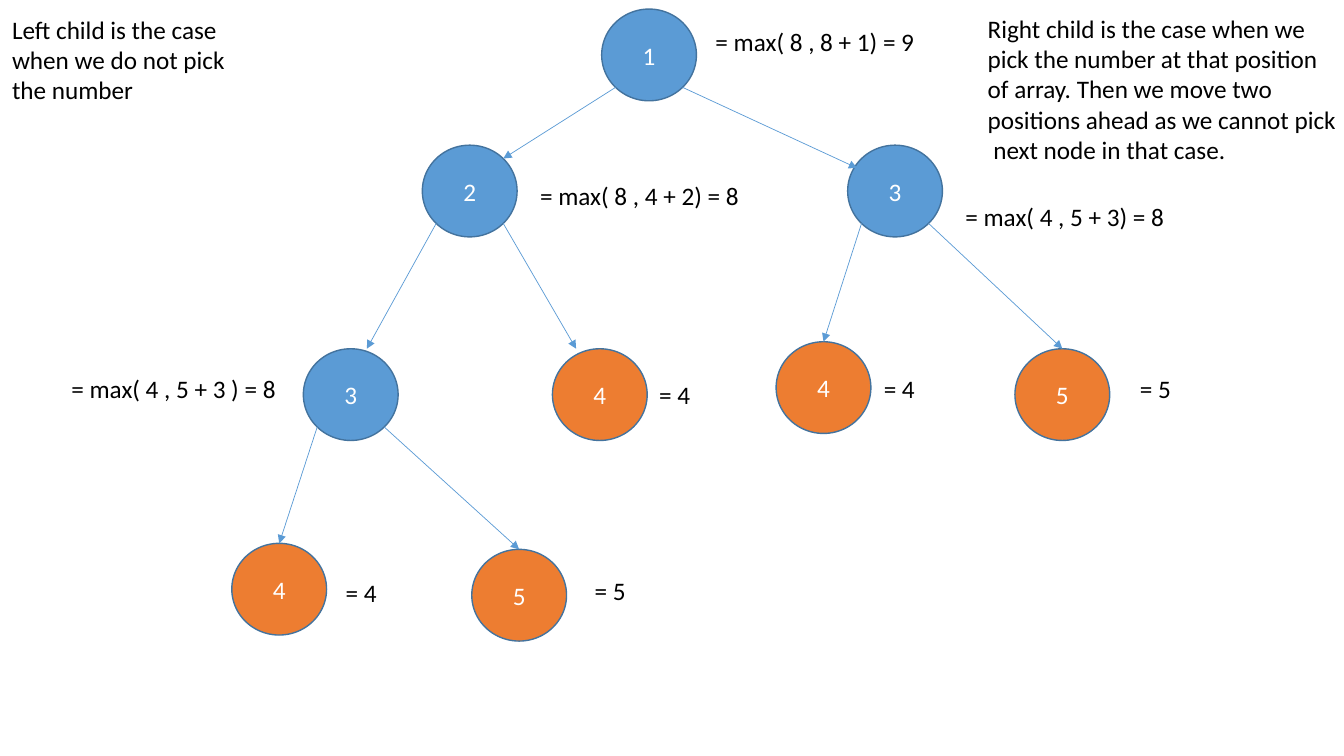
from collections import namedtuple

from lxml import etree
from pptx import Presentation
from pptx.dml.color import RGBColor
from pptx.enum import shapes, text
from pptx.oxml import ns
from pptx.util import Pt

COLORS = {"branch": "5B9BD5", "leaf": "ED7D31", "outline": "43739E",
          "on_node": "FFFFFF", "note": "000000"}
Box = namedtuple("Box", "left top width height")
Node = namedtuple("Node", "value kind left top label label_left label_top label_width")

NODE_WIDTH, NODE_HEIGHT = 67.7, 65.5
LABEL_HEIGHT = 29
SUM_WIDTH, LEAF_WIDTH = 168.5, 49.7
DIAGONAL = 0.146  # where an ellipse's diagonal points lie, as a share of its size

# Node places are relative to the tree, label places to the node.
NODES = {
    "root": Node("1", "branch", 385.8, 0, "= max( 8 , 8 + 1) = 9", 74.2, 8.6, SUM_WIDTH),
    "skip": Node("2", "branch", 257.7, 97.2, "= max( 8 , 4 + 2) = 8", 77, 21.6, SUM_WIDTH),
    "pick": Node("3", "branch", 561.5, 97.2, "= max( 4 , 5 + 3) = 8", 77, 36.7, SUM_WIDTH),
    "skip_skip": Node("3", "branch", 172.7, 242.6, "= max( 4 , 5 + 3 ) = 8 ", -172.8, 13.7, 172.8),
    "skip_pick": Node("4", "leaf", 350.6, 242.6, "= 4", 69.1, 18, LEAF_WIDTH),
    "pick_skip": Node("4", "leaf", 510.4, 237.6, "= 4", 69.8, 18.7, LEAF_WIDTH),
    "pick_pick": Node("5", "leaf", 681, 242.6, "= 5", 82.1, 13.7, LEAF_WIDTH),
    "deep_skip": Node("4", "leaf", 121.6, 381.6, "= 4", 74.2, 20.9, LEAF_WIDTH),
    "deep_pick": Node("5", "leaf", 293, 385.9, "= 5", 80.6, 15.1, LEAF_WIDTH),
}
# Parent, left child, right child, and where each arrow ends as shares of the child.
BRANCHES = [
    ("root", ("skip", 1 - DIAGONAL, DIAGONAL), ("pick", 0.1, 0.25)),
    ("skip", ("skip_skip", 0.67, 0), ("skip_pick", 0.25, 0)),
    ("pick", ("pick_skip", 0.5, 0), ("pick_pick", 0.5, 0)),
    ("skip_skip", ("deep_skip", 0.5, 0), ("deep_pick", 0.5, 0)),
]


def rgb(name):
    """Return the named colour."""
    return RGBColor.from_string(COLORS[name])


def write(shape, words, color, frame_format, align):
    """Put one formatted paragraph into a shape."""
    frame = shape.text_frame
    for key, value in frame_format.items():
        setattr(frame, key, value)
    para = frame.paragraphs[0]
    para.alignment = align
    span = para.add_run()
    span.text = words
    for key, value in {"name": "Calibri", "size": Pt(18)}.items():
        setattr(span.font, key, value)
    span.font.color.rgb = rgb(color)


def add_note(page, box, words):
    """Place black text in a box."""
    note = page.shapes.add_textbox(*map(Pt, box))
    write(note, words, "note",
          {"word_wrap": True, "auto_size": text.MSO_AUTO_SIZE.SHAPE_TO_FIT_TEXT},
          text.PP_ALIGN.LEFT)


def add_node(page, box, node):
    """Place a numbered circle in a box, with its result beside it."""
    circle = page.shapes.add_shape(shapes.MSO_SHAPE.OVAL, *map(Pt, box))
    circle.shadow.inherit = False
    circle.fill.solid()
    circle.fill.fore_color.rgb = rgb(node.kind)
    circle.line.color.rgb = rgb("outline")
    circle.line.width = Pt(1)
    write(circle, node.value, "on_node",
          {"word_wrap": True, "vertical_anchor": text.MSO_ANCHOR.MIDDLE},
          text.PP_ALIGN.CENTER)
    add_note(page, Box(box.left + node.label_left, box.top + node.label_top,
                       node.label_width, LABEL_HEIGHT), node.label)


def point_in(box, across, down):
    """Return the point at the given shares of a box."""
    return Pt(box.left + across * box.width), Pt(box.top + down * box.height)


def add_arrow(page, start, end):
    """Draw a thin arrow between two points."""
    arrow = page.shapes.add_connector(shapes.MSO_CONNECTOR.STRAIGHT, *start, *end)
    arrow.line.color.rgb = rgb("branch")
    arrow.line.width = Pt(0.5)
    line = arrow.line._get_or_add_ln()
    etree.SubElement(line, ns.qn("a:tailEnd"), type="triangle")
    etree.SubElement(arrow._element.spPr, ns.qn("a:effectLst"))


def add_tree(page, box):
    """Draw the recursion tree from the box's top left corner."""
    places = {name: Box(box.left + node.left, box.top + node.top, NODE_WIDTH, NODE_HEIGHT)
              for name, node in NODES.items()}
    for name, node in NODES.items():
        add_node(page, places[name], node)
    for parent, *children in BRANCHES:
        for side, (child, across, down) in zip((DIAGONAL, 1 - DIAGONAL), children):
            add_arrow(page, point_in(places[parent], side, 1 - DIAGONAL),
                      point_in(places[child], across, down))


deck = Presentation()
deck.slide_width, deck.slide_height = Pt(960), Pt(540)
page = deck.slides.add_slide(deck.slide_layouts[6])
add_tree(page, Box(44, 6.5, 800, 452))
add_note(page, Box(1.5, 6.5, 176.4, 72.7),
         "Left child is the case when we do not pick the number")
add_note(page, Box(698.4, 5.8, 266.4, 116.6),
         "Right child is the case when we pick the number at that position of array. "
         "Then we move two positions ahead as we cannot pick \u00a0next node in that case.")
deck.save("out.pptx")
